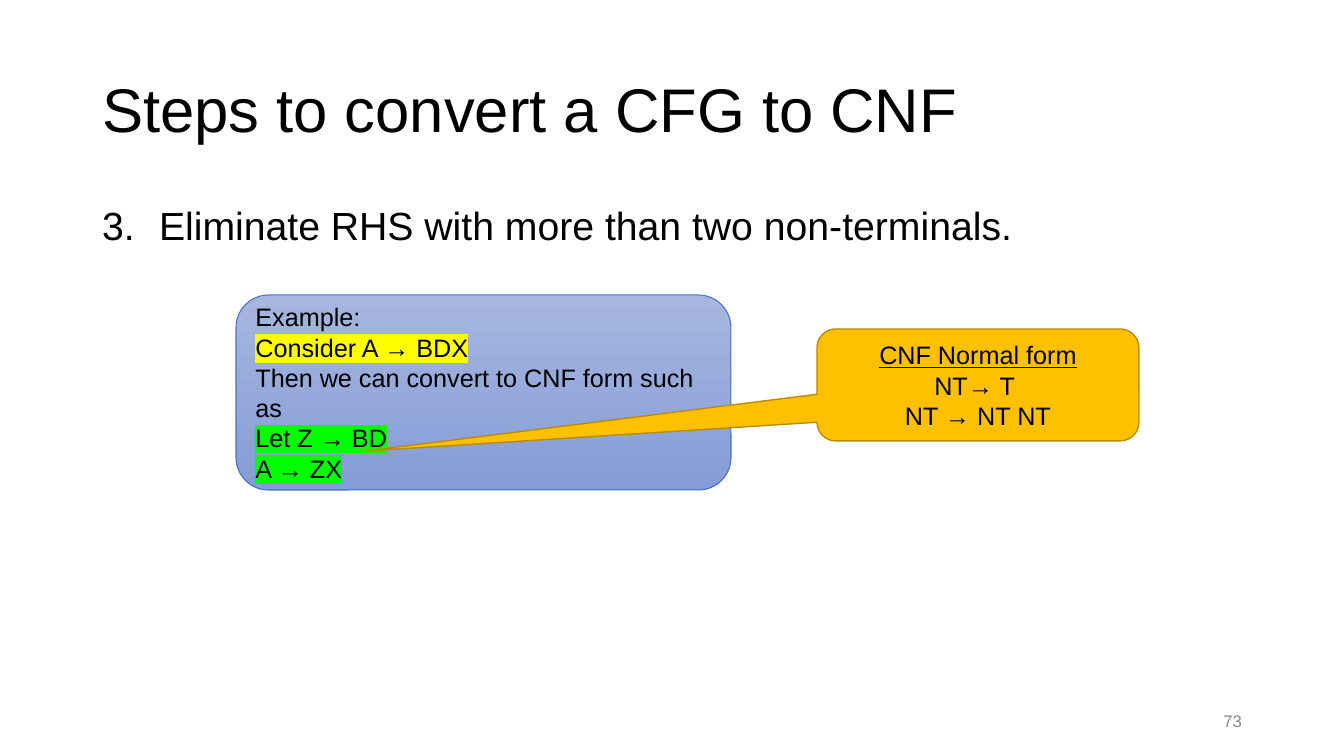
"""Build the slide on converting a CFG to Chomsky normal form."""
from lxml.etree import SubElement
from pptx import Presentation
from pptx.dml.color import RGBColor
from pptx.enum.shapes import MSO_SHAPE as Shape
from pptx.enum.text import MSO_ANCHOR as Anchor, MSO_AUTO_SIZE as AutoSize, PP_ALIGN as Align
from pptx.oxml import parse_xml
from pptx.oxml.ns import nsdecls, qn
from pptx.util import Pt

COLORS = {
    "text": "000000", "number": "888888",
    "example_top": "A6B6DE", "example_bottom": "859CD7", "example_line": "4472C4",
    "callout": "FFC000", "callout_line": "BA8C00",
    "given": "FFFF00", "result": "00FF00",
}
TITLE = "Steps to convert a CFG to CNF"
STEP_NUMBER = 3
STEP = "Eliminate RHS with more than two non-terminals."
EXAMPLE = [
    ("Example:", {}),
    ("Consider A → BDX", {"highlight": "given"}),
    ("Then we can convert to CNF form such as", {}),
    ("Let Z → BD", {"highlight": "result"}),
    ("A → ZX", {"highlight": "result"}),
]
NORMAL_FORM = [
    ("CNF Normal form", {"underline": True}),
    ("NT→ T ", {}),
    ("NT → NT NT", {}),
]
PAGE = "73"
BOXES = {
    "title": (92, 40, 1159, 146),
    "step": (92, 202, 1159, 480),
    "example": (236, 295, 495, 195),
    "callout": (817, 329, 322, 112),
    "page": (950, 701, 302, 40),
}
SLIDE_SIZE = (1344, 756)
STEP_INDENT = 57
EMU_PER_PX = 914400 / 100.8


def px(length):
    return round(length * EMU_PER_PX)


def box(key):
    return [px(length) for length in BOXES[key]]


def rgb(key):
    return RGBColor.from_string(COLORS[key])


def place(placeholder, key):
    placeholder.left, placeholder.top, placeholder.width, placeholder.height = box(key)


def write(frame, lines, size=18, color="text", align=Align.LEFT, anchor=Anchor.MIDDLE, spacing=1.0):
    frame.word_wrap = True
    frame.auto_size = AutoSize.NONE
    frame.vertical_anchor = anchor
    for index, (text, style) in enumerate(lines):
        paragraph = frame.add_paragraph() if index else frame.paragraphs[0]
        paragraph.alignment = align
        paragraph.line_spacing = spacing
        paragraph.space_before = Pt(0)
        run = paragraph.add_run()
        run.text = text
        font = run.font
        font.name, font.size = "Arial", Pt(size)
        font.color.rgb = rgb(color)
        if style.get("underline"):
            font.underline = True
        if "highlight" in style:
            mark = parse_xml(f'<a:highlight {nsdecls("a")}>'
                             f'<a:srgbClr val="{COLORS[style["highlight"]]}"/></a:highlight>')
            run._r.rPr.find(qn("a:solidFill")).addnext(mark)


def number_step(paragraph):
    properties = paragraph._p.get_or_add_pPr()
    properties.set("marL", str(px(STEP_INDENT)))
    properties.set("indent", str(-px(STEP_INDENT)))
    SubElement(properties, qn("a:buFont"), typeface="Arial")
    SubElement(properties, qn("a:buAutoNum"), type="arabicPeriod", startAt=str(STEP_NUMBER))


def add_panel(slide, preset, key, line, line_width):
    panel = slide.shapes.add_shape(preset, *box(key))
    panel.shadow.inherit = False
    panel.line.color.rgb = rgb(line)
    panel.line.width = Pt(line_width)
    return panel


def main():
    deck = Presentation()
    deck.slide_width, deck.slide_height = map(px, SLIDE_SIZE)
    slide = deck.slides.add_slide(deck.slide_layouts[1])

    title, step = slide.placeholders
    place(title, "title")
    write(title.text_frame, [(TITLE, {})], size=44, spacing=0.9)
    place(step, "step")
    write(step.text_frame, [(STEP, {})], size=28, anchor=Anchor.TOP, spacing=0.9)
    number_step(step.text_frame.paragraphs[0])

    example = add_panel(slide, Shape.ROUNDED_RECTANGLE, "example", "example_line", 0.75)
    example.fill.gradient()
    example.fill.gradient_angle = 270
    for stop, key in zip(example.fill.gradient_stops, ("example_top", "example_bottom")):
        stop.color.rgb = rgb(key)
    write(example.text_frame, EXAMPLE)

    callout = add_panel(slide, Shape.ROUNDED_RECTANGULAR_CALLOUT, "callout", "callout_line", 1)
    callout.fill.solid()
    callout.fill.fore_color.rgb = rgb("callout")
    callout.adjustments[0], callout.adjustments[1] = -1.9, 0.59
    write(callout.text_frame, NORMAL_FORM, align=Align.CENTER)

    page = slide.shapes.add_textbox(*box("page"))
    write(page.text_frame, [(PAGE, {})], size=12, color="number", align=Align.RIGHT)

    deck.save("out.pptx")


if __name__ == "__main__":
    main()
